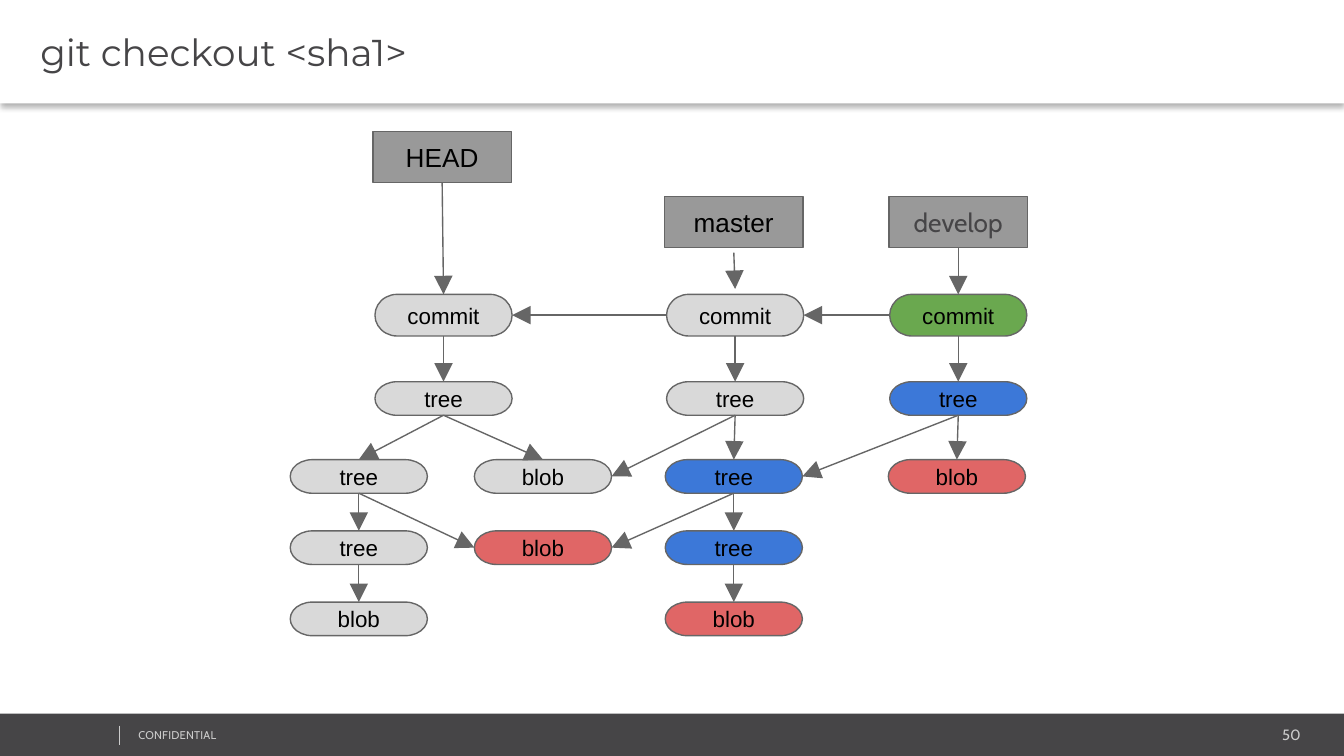
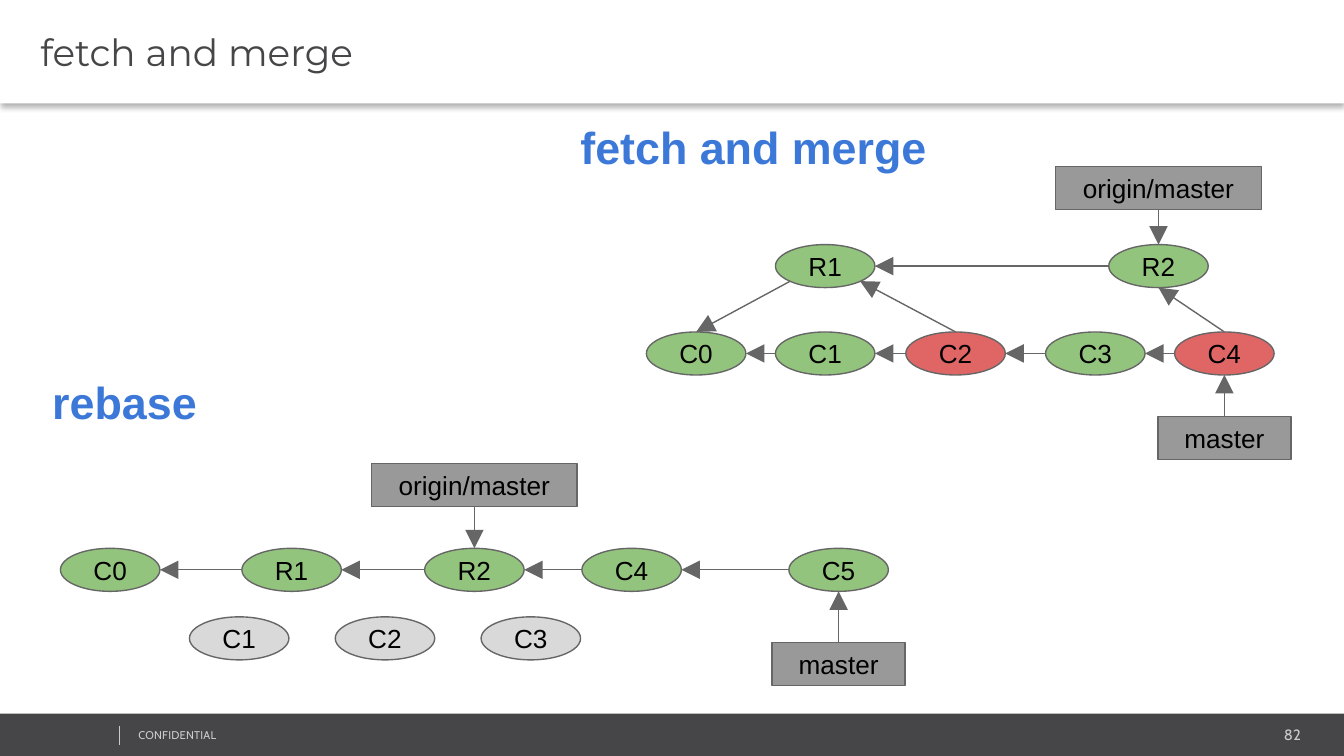
from dataclasses import dataclass
from itertools import pairwise

from pptx import Presentation
from pptx.dml.color import RGBColor as Rgb
from pptx.enum.shapes import MSO_CONNECTOR as Connector, MSO_SHAPE as Preset
from pptx.enum.text import MSO_ANCHOR as Anchor, MSO_AUTO_SIZE as AutoSize, PP_ALIGN as Align
from pptx.oxml import parse_xml
from pptx.oxml.ns import nsdecls, qn
from pptx.util import Inches, Pt


class Theme:
    white, dark, pale = "FFFFFF", "464547", "CCCCCC"
    outline, pointer, plain = "666666", "999999", "D9D9D9"
    blue, red, leaf, green = "3C78D8", "E06666", "93C47D", "6AA84F"
    thin, hairline = 0.75, 0.25
    # Text styles: font values and colour
    title = ({"name": "Montserrat", "size": Pt(20)}, dark)
    heading = ({"name": "Arial", "size": Pt(24), "bold": True}, blue)
    label = ({"name": "Arial", "size": Pt(14)}, "000000")
    label_alt = ({"name": "Cabin", "size": Pt(14)}, dark)
    git_object = ({"name": "Arial", "size": Pt(12)}, "000000")
    page = ({"name": "Cabin", "size": Pt(8)}, pale)
    notice = ({"name": "Cabin", "size": Pt(6)}, pale)


EVEN_INSETS = (0.1, 0.1, 0.1, 0.1)
FOOTER_INSETS = (0.07, 0.04, 0.07, 0.04)
TITLE_INSETS = (0.3, 0.04, 0.07, 0.04)

# Where an arrow may touch a box, as fractions of its width and height
SIDES = {"top": (0.5, 0), "bottom": (0.5, 1), "left": (0, 0.5), "right": (1, 0.5),
         "lower left": (0.15, 0.85), "lower right": (0.85, 0.85)}


@dataclass
class Box:
    left: float
    top: float
    width: float
    height: float

    def inner(self, left, top, width, height):
        return Box(self.left + left, self.top + top, width, height)

    def centred(self, middle, top, width, height):
        return self.inner(middle - width / 2, top, width, height)

    def point(self, side):
        across, down = SIDES[side]
        return self.left + across * self.width, self.top + down * self.height

    def emu(self):
        return [Inches(v) for v in (self.left, self.top, self.width, self.height)]


PAGE = Box(0, 0, 10, 10 * 9 / 16)


# --- Basic parts ---

def set_values(target, values):
    for name, value in values.items():
        setattr(target, name, value)


def write(shape, text, style, align=Align.LEFT, insets=EVEN_INSETS, **frame_values):
    sides = ("margin_left", "margin_top", "margin_right", "margin_bottom")
    margins = {side: Inches(inset) for side, inset in zip(sides, insets)}
    frame = shape.text_frame
    set_values(frame, {"word_wrap": True, **margins, **frame_values})
    frame.paragraphs[0].alignment = align
    run = frame.paragraphs[0].add_run()
    run.text = text
    font_values, colour = style
    set_values(run.font, font_values)
    run.font.color.rgb = Rgb.from_string(colour)
    return run


def add_text(slide, box, text, style, **options):
    return write(slide.shapes.add_textbox(*box.emu()), text, style, **options)


def add_block(slide, preset, box, fill, outline=None):
    block = slide.shapes.add_shape(preset, *box.emu())
    block.shadow.inherit = False
    block.fill.solid()
    block.fill.fore_color.rgb = Rgb.from_string(fill)
    if outline:
        block.line.color.rgb = Rgb.from_string(outline)
        block.line.width = Pt(Theme.thin)
    else:
        block.line.fill.background()
    return block


def add_node(slide, preset, box, text, fill, style):
    block = add_block(slide, preset, box, fill, Theme.outline)
    write(block, text, style, Align.CENTER, vertical_anchor=Anchor.MIDDLE)
    return box


def add_line(slide, start, end, colour=Theme.outline, width=Theme.thin):
    ends = [Inches(v) for v in (*start, *end)]
    line = slide.shapes.add_connector(Connector.STRAIGHT, *ends)
    line.line.color.rgb = Rgb.from_string(colour)
    line.line.width = Pt(width)
    line._element.spPr.append(parse_xml(f"<a:effectLst {nsdecls('a')}/>"))
    return line


def add_arrow(slide, source, source_side, target, target_side, gap=0):
    (x1, y1), (x2, y2) = source.point(source_side), target.point(target_side)
    arrow = add_line(slide, (x1, y1 + gap), (x2, y2 - gap))
    arrow.line._get_or_add_ln().append(
        parse_xml(f'<a:tailEnd {nsdecls("a")} type="triangle" w="lg" len="lg"/>'))


# --- Regions shared by the slides ---

def add_footer(slide, box, number):
    add_block(slide, Preset.RECTANGLE, box, Theme.dark)
    add_text(slide, box.inner(8.12, 0.05, 1.63, 0.21), number, Theme.page,
             align=Align.RIGHT, insets=FOOTER_INSETS, auto_size=AutoSize.SHAPE_TO_FIT_TEXT)
    notice = add_text(slide, box.inner(0.96, 0.07, 2.53, 0.18), "CONFIDENTIAL", Theme.notice,
                      insets=FOOTER_INSETS, auto_size=AutoSize.SHAPE_TO_FIT_TEXT)
    notice.font._element.set("spc", "10")
    divider = box.inner(0.89, 0.09, 0, 0.14)
    add_line(slide, divider.point("top"), divider.point("bottom"), Theme.pale, Theme.hairline)


def add_title(slide, box, title):
    band = add_block(slide, Preset.RECTANGLE, box, Theme.white)
    write(band, title, Theme.title, insets=TITLE_INSETS, vertical_anchor=Anchor.MIDDLE)
    # Soft shadow under the band
    band._element.spPr.find(qn("a:effectLst")).append(parse_xml(
        f'<a:outerShdw {nsdecls("a")} blurRad="{Pt(3.1)}" dist="{Pt(2)}" dir="5400000" '
        'algn="t" rotWithShape="0"><a:srgbClr val="000000"><a:alpha val="30000"/>'
        '</a:srgbClr></a:outerShdw>'))


def add_slide(deck, title, number):
    slide = deck.slides.add_slide(deck.slide_layouts[6])
    add_footer(slide, PAGE.inner(0, 5.31, 10.01, 0.33), number)
    add_title(slide, PAGE.inner(0, 0, PAGE.width, 0.77), title)
    return slide


# --- Git object graph ---

def add_object_graph(slide, box):
    # Column centres and row tops inside the box
    side, first, shared, second, third = 0.51, 1.14, 1.88, 3.31, 4.97
    second_lower, third_lower = 3.3, 4.96
    commit_top, root_top = 1.21, 1.86
    level_tops = [2.44 + 0.53 * level for level in range(3)]

    refs = {name: add_node(slide, Preset.RECTANGLE, box.centred(column, top, 1.03, 0.38),
                           name, Theme.pointer, style)
            for name, column, top, style in (("HEAD", 1.13, 0, Theme.label),
                                             ("master", second_lower, 0.48, Theme.label),
                                             ("develop", third, 0.48, Theme.label_alt))}

    def git_object(kind, column, top, fill=Theme.plain, height=0.25):
        return add_node(slide, Preset.FLOWCHART_TERMINATOR,
                        box.centred(column, top, 1.02, height), kind, fill, Theme.git_object)

    # Commits with their root trees
    columns = (first, second, third)
    commits = [git_object("commit", column, commit_top, fill, 0.31)
               for column, fill in zip(columns, (Theme.plain, Theme.plain, Theme.green))]
    roots = [git_object("tree", column, root_top, fill)
             for column, fill in zip(columns, (Theme.plain, Theme.plain, Theme.blue))]

    # Lower levels
    def branch(column, fills):
        return [git_object(kind, column, top, fill)
                for kind, top, fill in zip(("tree", "tree", "blob"), level_tops, fills)]

    old_branch = branch(side, (Theme.plain,) * 3)
    new_branch = branch(second_lower, (Theme.blue, Theme.blue, Theme.red))
    kept_blob = git_object("blob", shared, level_tops[0])
    changed_blob = git_object("blob", shared, level_tops[1], Theme.red)
    develop_blob = git_object("blob", third_lower, level_tops[0], Theme.red)

    # Downward arrows
    downward = [(refs["HEAD"], commits[0]), (refs["develop"], commits[2]),
                *zip(commits, roots), *pairwise(old_branch), *pairwise(new_branch),
                (roots[0], old_branch[0]), (roots[0], kept_blob),
                (roots[1], new_branch[0]), (roots[2], develop_blob)]
    for parent, child in downward:
        add_arrow(slide, parent, "bottom", child, "top")
    add_arrow(slide, refs["master"], "bottom", commits[1], "top", gap=0.04)

    # Links to parent commits and shared objects
    for older, newer in pairwise(commits):
        add_arrow(slide, newer, "left", older, "right")
    for parent, child, child_side in ((old_branch[0], changed_blob, "left"),
                                      (roots[1], kept_blob, "right"),
                                      (new_branch[0], changed_blob, "right"),
                                      (roots[2], new_branch[0], "right")):
        add_arrow(slide, parent, "bottom", child, child_side)


# --- Commit history ---

def add_history(slide, box, heading, rows, pointers, chains, joins=()):
    add_text(slide, box.inner(0, 0, 3.12, 0.64), heading, Theme.heading)
    # Commits, row by row
    commits = {}
    for top, row in rows:
        for name, left, fill in row:
            commits[name] = add_node(slide, Preset.OVAL, box.inner(left, top, 0.74, 0.32),
                                     name, fill, Theme.label)
    # Branch pointers, centred on their commit
    for name, width, top, target in pointers:
        commit = commits[target]
        middle = commit.left - box.left + commit.width / 2
        pointer = add_node(slide, Preset.RECTANGLE, box.centred(middle, top, width, 0.32),
                           name, Theme.pointer, Theme.label)
        sides = ("bottom", "top") if pointer.top < commit.top else ("top", "bottom")
        add_arrow(slide, pointer, sides[0], commit, sides[1])
    # Each commit points to its parent
    for chain in chains:
        for older, newer in pairwise(chain):
            add_arrow(slide, commits[newer], "left", commits[older], "right")
    for source, source_side, target, target_side in joins:
        add_arrow(slide, commits[source], source_side, commits[target], target_side)


def add_merge_history(slide, box):
    leaf, red = Theme.leaf, Theme.red
    add_history(
        slide, box, "fetch and merge",
        rows=[(1.03, [("R1", 1.55, leaf), ("R2", 4.03, leaf)]),
              (1.68, [("С0", 0.59, leaf), ("С1", 1.55, leaf), ("С2", 2.52, red),
                      ("С3", 3.56, leaf), ("С4", 4.52, red)])],
        pointers=[("origin/master", 1.53, 0.45, "R2"), ("master", 0.99, 2.31, "С4")],
        chains=[("R1", "R2"), ("С0", "С1", "С2", "С3", "С4")],
        joins=[("R1", "lower left", "С0", "top"), ("С2", "top", "R1", "lower right"),
               ("С4", "top", "R2", "bottom")])


def add_rebase_history(slide, box):
    leaf = Theme.leaf
    dropped = [(name, 1.12 + 1.085 * i, Theme.plain) for i, name in enumerate(("С1", "С2", "С3"))]
    add_history(
        slide, box, "rebase",
        rows=[(1.39, [("С0", 0.16, leaf), ("R1", 1.51, leaf), ("R2", 2.87, leaf),
                      ("C4", 4.04, leaf), ("C5", 5.58, leaf)]),
              (1.9, dropped)],
        pointers=[("origin/master", 1.53, 0.76, "R2"), ("master", 0.99, 2.09, "C5")],
        chains=[("С0", "R1", "R2", "C4", "C5")])


def main():
    deck = Presentation()
    set_values(deck, {"slide_width": Inches(PAGE.width), "slide_height": Inches(PAGE.height)})

    checkout = add_slide(deck, "git checkout <sha1>", "50")
    add_object_graph(checkout, Box(2.16, 0.98, 5.48, 3.75))

    comparison = add_slide(deck, "fetch and merge", "82")
    add_merge_history(comparison, Box(4.22, 0.79, 5.39, 2.63))
    add_rebase_history(comparison, Box(0.29, 2.69, 6.44, 2.41))

    deck.save("out.pptx")


if __name__ == "__main__":
    main()
